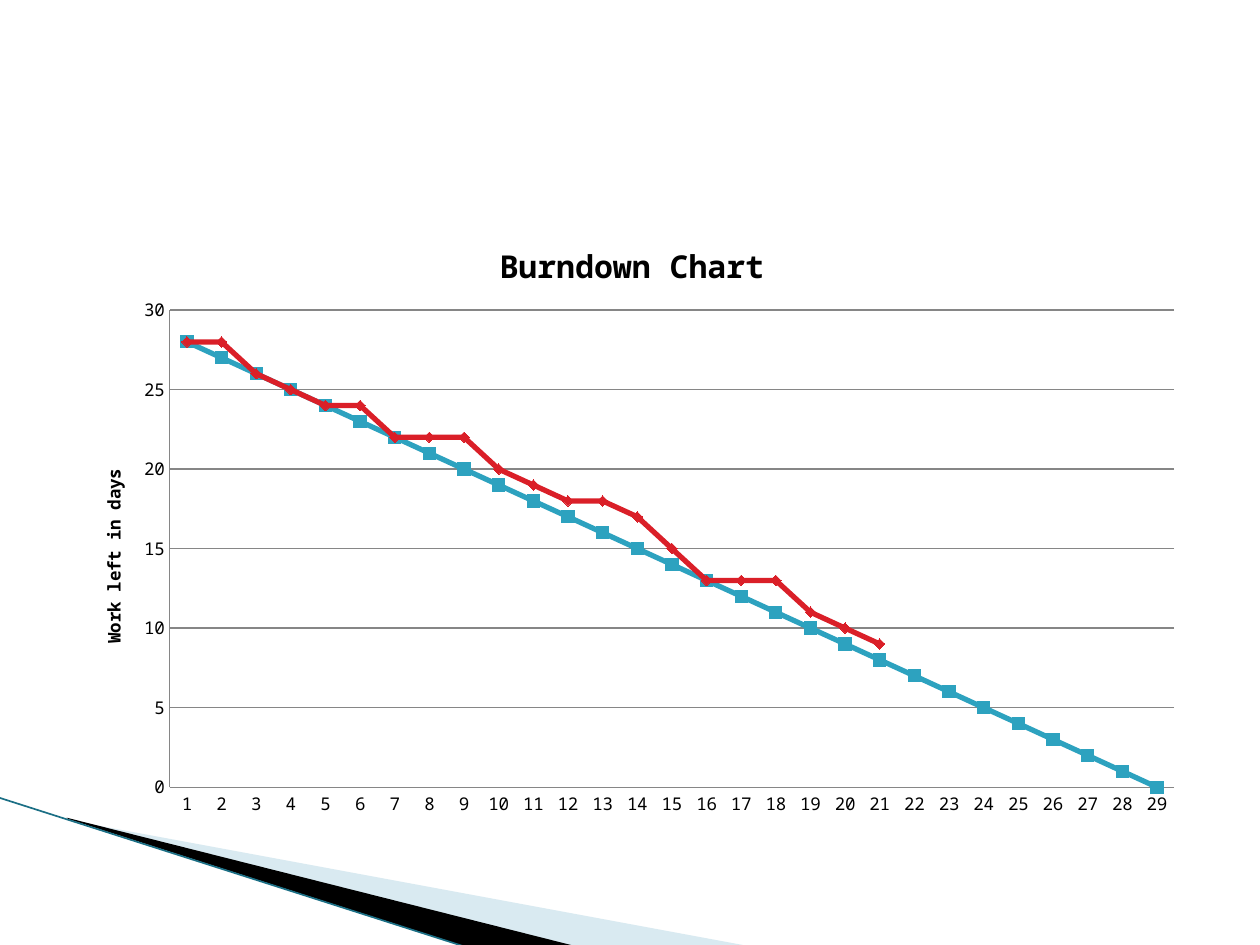
from dataclasses import dataclass
from typing import Any, Optional

import lxml.etree
import pptx
import pptx.chart.data
import pptx.dml.color
import pptx.enum.chart
import pptx.enum.shapes
import pptx.oxml
import pptx.oxml.ns
import pptx.util

Inches = pptx.util.Inches
Pt = pptx.util.Pt
qn = pptx.oxml.ns.qn


@dataclass(frozen=True)
class Theme:
    font: str = "Noto Sans Mono"
    text: str = "000000"
    grid: str = "868686"
    ideal: str = "2DA2BF"
    actual: str = "DA1F28"
    pale: str = "A0CBDC"
    dark: str = "000000"
    edge: str = "1B6F85"
    title: int = 18
    body: int = 10


@dataclass(frozen=True)
class Wedge:
    points: list[tuple[float, float]]
    color: str
    alpha: Optional[int] = None


@dataclass(frozen=True)
class Trend:
    name: str
    values: list[Optional[int]]
    color: str
    marker: Any
    size: int


THEME = Theme()
MARK = pptx.enum.chart.XL_MARKER_STYLE
DAYS = 29
ACTUAL = [28, 28, 26, 25, 24, 24, 22, 22, 22, 20, 19,
          18, 18, 17, 15, 13, 13, 13, 11, 10, 9]
TRENDS = [
    Trend("Series 1", list(range(DAYS - 1, -1, -1)), THEME.ideal, MARK.SQUARE, 7),
    Trend("Series 2", ACTUAL + [None] * (DAYS - len(ACTUAL)),
          THEME.actual, MARK.DIAMOND, 6),
]
WEDGES = [
    Wedge([(0.55, 6.51), (5.95, 7.51), (4.56, 7.51), (0.55, 6.5)], THEME.pale, 40),
    Wedge([(0.53, 6.49), (4.57, 7.51), (3.72, 7.52), (0.54, 6.5)], THEME.dark),
]


def rgb(color: str) -> pptx.dml.color.RGBColor:
    return pptx.dml.color.RGBColor.from_string(color)


def draw_wedge(slide: Any, wedge: Wedge) -> None:
    points = [(Inches(x), Inches(y)) for x, y in wedge.points]
    form = slide.shapes.build_freeform(*points[0])
    form.add_line_segments(points[1:], close=True)
    shape = form.convert_to_shape()
    shape.shadow.inherit = False
    shape.fill.solid()
    shape.fill.fore_color.rgb = rgb(wedge.color)
    shape.line.fill.background()
    if wedge.alpha is not None:
        tint = next(shape._element.spPr.iter(qn("a:srgbClr")))
        lxml.etree.SubElement(tint, qn("a:alpha"), val=str(wedge.alpha * 1000))


def draw_edge(slide: Any) -> None:
    edge = slide.shapes.add_connector(
        pptx.enum.shapes.MSO_CONNECTOR.STRAIGHT,
        Inches(-0.01), Inches(6.33), Inches(3.71), Inches(7.52))
    edge.line.color.rgb = rgb(THEME.edge)
    edge.line.width = Pt(0.95)
    lxml.etree.SubElement(edge._element.spPr, qn("a:effectLst"))


def place(part: Any, index: int, inner: bool = False, **spots: float) -> None:
    """Give a chart part a fixed layout, in fractions of the chart."""
    for old in part.findall(qn("c:layout")):
        part.remove(old)
    layout = pptx.oxml.parse_xml(
        '<c:layout xmlns:c="http://schemas.openxmlformats.org/drawingml/2006/chart"/>')
    manual = lxml.etree.SubElement(layout, qn("c:manualLayout"))
    if inner:
        lxml.etree.SubElement(manual, qn("c:layoutTarget"), val="inner")
    for mode in ("xMode", "yMode"):
        lxml.etree.SubElement(manual, qn(f"c:{mode}"), val="edge")
    for name, value in spots.items():
        lxml.etree.SubElement(manual, qn(f"c:{name}"), val=str(value))
    part.insert(index, layout)


def set_title(title: Any, text: str, size: int, x: float, y: float) -> None:
    title.text_frame.text = text
    font = title.text_frame.paragraphs[0].font
    font.name = THEME.font
    font.size = Pt(size)
    font.bold = True
    font.color.rgb = rgb(THEME.text)
    place(title._element, 1, x=x, y=y)


def set_line(line: Any, color: str, width: float) -> None:
    line.color.rgb = rgb(color)
    line.width = Pt(width)


def style_trend(series: Any, trend: Trend) -> None:
    series.smooth = False
    set_line(series.format.line, trend.color, 3)
    series.marker.style = trend.marker
    series.marker.size = trend.size
    fill = series.marker.format.fill
    fill.solid()
    fill.fore_color.rgb = rgb(trend.color)
    set_line(series.marker.format.line, trend.color, 0.75)


def draw_chart(slide: Any) -> None:
    data = pptx.chart.data.CategoryChartData()
    data.categories = [str(day) for day in range(1, DAYS + 1)]
    for trend in TRENDS:
        data.add_series(trend.name, trend.values)
    chart = slide.shapes.add_chart(
        pptx.enum.chart.XL_CHART_TYPE.LINE_MARKERS,
        Inches(0.5), Inches(1.62), Inches(9), Inches(4.95), data).chart
    chart.has_legend = False
    chart.font.name = THEME.font
    chart.font.size = Pt(THEME.body)
    chart.font.color.rgb = rgb(THEME.text)
    chart.plots[0].vary_by_categories = False
    set_title(chart.chart_title, "Burndown Chart", THEME.title, 0.38, 0.05)

    for axis in (chart.category_axis, chart.value_axis):
        axis.major_tick_mark = pptx.enum.chart.XL_TICK_MARK.NONE
        axis.minor_tick_mark = pptx.enum.chart.XL_TICK_MARK.NONE
        set_line(axis.format.line, THEME.grid, 0.75)
    scale = chart.value_axis
    scale.minimum_scale, scale.maximum_scale, scale.major_unit = 0, 30, 5
    scale.has_major_gridlines = True
    set_line(scale.major_gridlines.format.line, THEME.grid, 0.75)
    set_title(scale.axis_title, "Work left in days", THEME.body, 0.03, 0.42)
    body = scale.axis_title._element.find(".//" + qn("a:bodyPr"))
    body.set("rot", "-5400000")
    body.set("vert", "horz")

    for series, trend in zip(chart.plots[0].series, TRENDS):
        style_trend(series, trend)
    area = next(chart._chartSpace.iter(qn("c:plotArea")))
    place(area, 0, inner=True, x=0.094, y=0.17, w=0.886, h=0.765)


def main() -> None:
    deck = pptx.Presentation()
    deck.slide_width, deck.slide_height = Inches(10), Inches(7.5)
    slide = deck.slides.add_slide(deck.slide_layouts[6])
    for wedge in WEDGES:
        draw_wedge(slide, wedge)
    draw_edge(slide)
    draw_chart(slide)
    deck.save("out.pptx")


if __name__ == "__main__":
    main()
